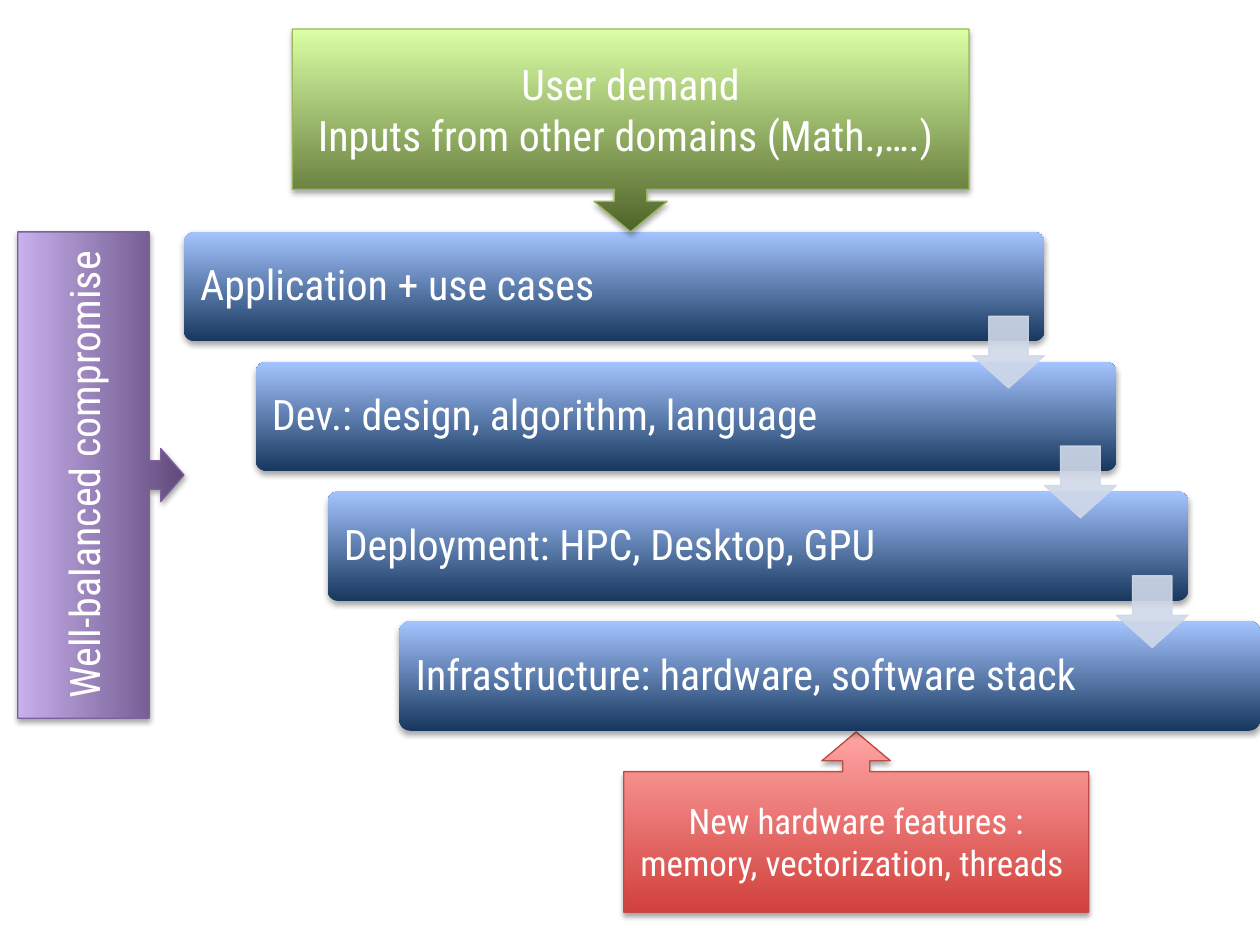
from lxml.etree import SubElement
from pptx import Presentation
from pptx.dml.color import RGBColor
from pptx.enum.shapes import MSO_SHAPE as Shape
from pptx.enum.text import MSO_ANCHOR as Anchor, PP_ALIGN as Align
from pptx.oxml.ns import qn
from pptx.util import Inches, Pt

WHITE = RGBColor(0xFF, 0xFF, 0xFF)
BLACK = RGBColor(0x00, 0x00, 0x00)
NAVY = RGBColor(0x17, 0x37, 0x5E)
SKY = RGBColor(0xA4, 0xC4, 0xFF)
PALE_BLUE = RGBColor(0xD0, 0xD8, 0xE8)
RED = RGBColor(0xD1, 0x40, 0x3C)
PINK = RGBColor(0xFF, 0xA6, 0xA5)
RED_LINE = RGBColor(0xBF, 0x4C, 0x48)
PURPLE = RGBColor(0x60, 0x4A, 0x7B)
LILAC = RGBColor(0xC8, 0xB0, 0xED)
PURPLE_LINE = RGBColor(0x7D, 0x60, 0xA0)
GREEN = RGBColor(0x4F, 0x62, 0x28)
LIME = RGBColor(0xDA, 0xFF, 0xA5)
GREEN_LINE = RGBColor(0x98, 0xB9, 0x55)


class Diagram:
    font = "Roboto Condensed"
    line_width = Pt(0.75)

    def __init__(self, slide):
        self.slide = slide

    def shape(self, kind, box, adjustments, line=None):
        shape = self.slide.shapes.add_shape(kind, *map(Inches, box))
        for index, value in enumerate(adjustments):
            shape.adjustments[index] = value
        if line is None:
            shape.line.fill.background()
        else:
            shape.line.color.rgb = line
            shape.line.width = self.line_width
        shape.shadow.inherit = False
        return shape

    def shade(self, shape, bottom, top):
        """Vertical gradient and a soft shadow below."""
        shape.fill.gradient()
        shape.fill.gradient_angle = 90
        for stop, color in zip(shape.fill.gradient_stops, (bottom, top)):
            stop.color.rgb = color
        effects = shape._element.spPr.find(qn("a:effectLst"))
        shadow = SubElement(effects, qn("a:outerShdw"), blurRad=str(Pt(3.1)),
                            dist=str(Pt(1.8)), dir="5400000", rotWithShape="0")
        color = SubElement(shadow, qn("a:srgbClr"), val=str(BLACK))
        SubElement(color, qn("a:alpha"), val="35000")

    def add_text(self, paragraph, text, size):
        for index, line in enumerate(text.split("\n")):
            if index:
                paragraph.add_line_break()
            run = paragraph.add_run()
            run.text = line
            run.font.name = self.font
            run.font.size = Pt(size)
            run.font.color.rgb = WHITE

    def callout(self, kind, box, adjustments, colors, paragraphs, size=24, rotation=0):
        bottom, top, line = colors
        shape = self.shape(kind, box, adjustments, line)
        shape.rotation = rotation
        self.shade(shape, bottom, top)
        frame = shape.text_frame
        frame.word_wrap = True
        frame.vertical_anchor = Anchor.MIDDLE
        for index, text in enumerate(paragraphs):
            paragraph = frame.add_paragraph() if index else frame.paragraphs[0]
            paragraph.alignment = Align.CENTER
            self.add_text(paragraph, text, size)

    def bar(self, box):
        self.shade(self.shape(Shape.ROUNDED_RECTANGLE, box, [0.1]), NAVY, SKY)

    def label(self, box, text):
        frame = self.slide.shapes.add_textbox(*map(Inches, box)).text_frame
        frame.word_wrap = True
        frame.vertical_anchor = Anchor.MIDDLE
        frame.margin_left = frame.margin_right = Inches(0.1)
        frame.margin_top = frame.margin_bottom = Inches(0.1)
        paragraph = frame.paragraphs[0]
        paragraph.line_spacing = 0.9
        self.add_text(paragraph, text, 24)

    def step_arrow(self, box):
        shape = self.shape(Shape.DOWN_ARROW, box, [0.55, 0.45], PALE_BLUE)
        shape.fill.solid()
        shape.fill.fore_color.rgb = PALE_BLUE
        for color in shape._element.spPr.iter(qn("a:srgbClr")):
            SubElement(color, qn("a:alpha"), val="90000")


def main():
    presentation = Presentation()
    presentation.slide_width = Inches(10)
    presentation.slide_height = Inches(7.5)
    slide = presentation.slides.add_slide(presentation.slide_layouts[6])
    diagram = Diagram(slide)

    # Forces from below and from the side
    diagram.callout(Shape.UP_ARROW_CALLOUT, (4.95, 5.81, 3.69, 1.43),
                    (0.15, 0.19, 0.16, 0.78), (RED, PINK, RED_LINE),
                    ["New hardware features :", "memory, vectorization, threads "], size=20)
    diagram.callout(Shape.DOWN_ARROW_CALLOUT, (-1.13, 3.11, 3.86, 1.32),
                    (0.17, 0.16, 0.14, 0.79), (PURPLE, LILAC, PURPLE_LINE),
                    ["Well-balanced compromise"], rotation=270)

    # Staircase of layers
    layers = [
        "Application + use cases",
        "Dev.: design, algorithm, language",
        "Deployment: HPC, Desktop, GPU",
        "Infrastructure: hardware, software stack",
    ]
    step_x, step_y = 0.57, 1.03
    for index, text in enumerate(layers):
        left, top = 1.46 + index * step_x, 1.84 + index * step_y
        diagram.bar((left, top, 6.83, 0.87))
        diagram.label((left + 0.03, top + 0.03, 5.65, 0.82), text)

    # Arrows from each layer to the next
    for index in range(len(layers) - 1):
        diagram.step_arrow((7.72 + index * step_x, 2.51 + index * step_y, 0.57, 0.57))

    # Demand from above
    diagram.callout(Shape.DOWN_ARROW_CALLOUT, (2.32, 0.23, 5.37, 1.61),
                    (0.16, 0.18, 0.15, 0.79), (GREEN, LIME, GREEN_LINE),
                    ["User demand\nInputs from other domains (Math.,….) "])

    presentation.save("out.pptx")


if __name__ == "__main__":
    main()
